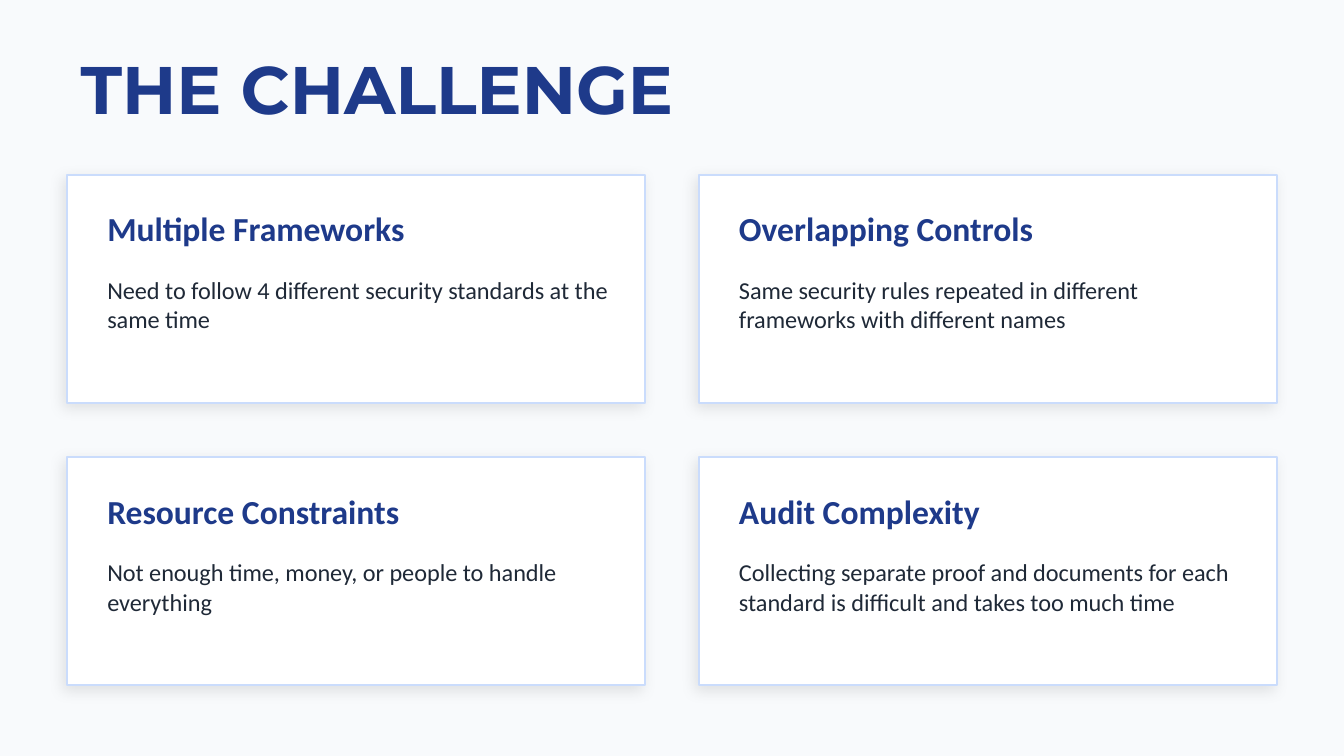
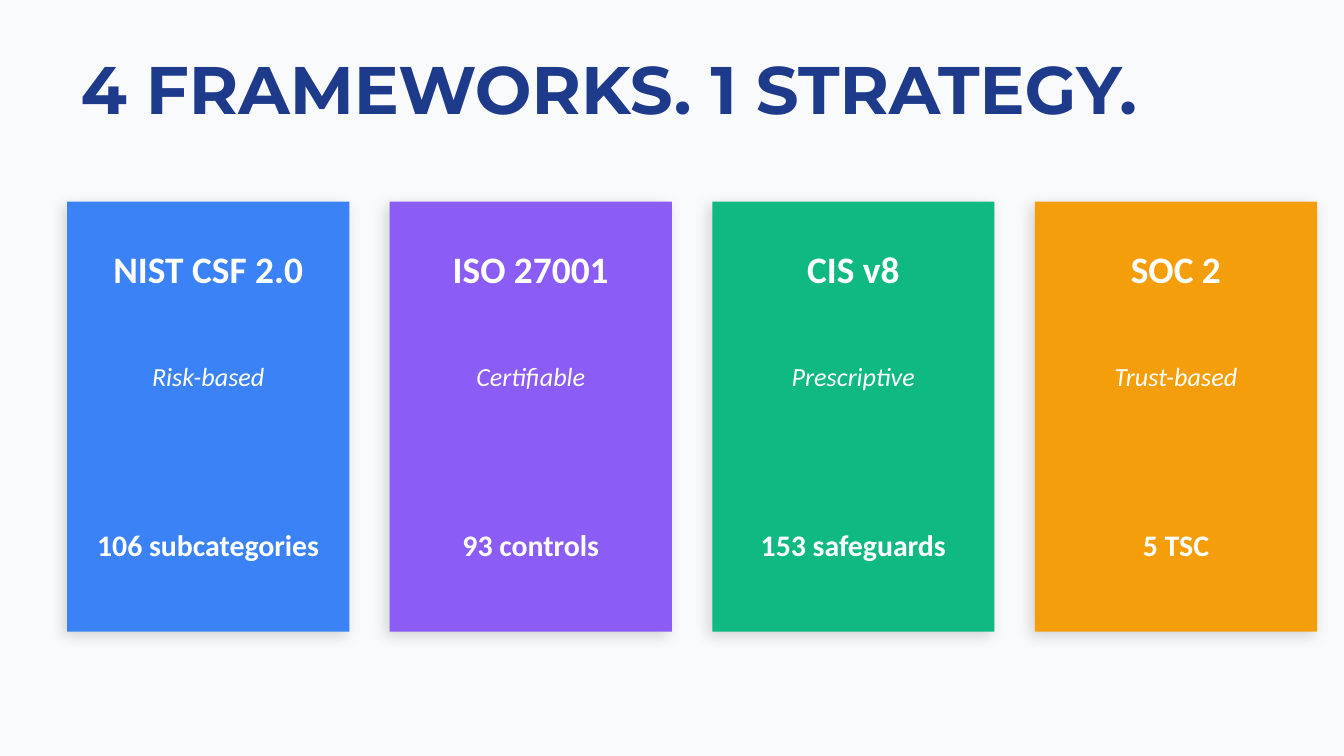
import pptx
import pptx.util
import pptx.dml.color
import pptx.enum.shapes
import pptx.enum.text
import pptx.oxml
import pptx.oxml.ns

Inches = pptx.util.Inches
Pt = pptx.util.Pt
ALIGN = pptx.enum.text.PP_ALIGN
ANCHOR = pptx.enum.text.MSO_ANCHOR

COLORS = {
    "background": "F8FAFC",
    "navy": "1E3A8A",
    "body": "1F2937",
    "white": "FFFFFF",
    "border": "CADCFC",
    "shadow": "000000",
    "blue": "3B82F6",
    "purple": "8B5CF6",
    "green": "10B981",
    "amber": "F59E0B",
}
TITLE_FONT = "Montserrat"
BODY_FONT = "Calibri"
TITLE_ONLY_LAYOUT = 5

CHALLENGES = [
    ("Multiple Frameworks",
     "Need to follow 4 different security standards at the same time"),
    ("Overlapping Controls",
     "Same security rules repeated in different frameworks with different names"),
    ("Resource Constraints",
     "Not enough time, money, or people to handle everything"),
    ("Audit Complexity",
     "Collecting separate proof and documents for each standard is difficult "
     "and takes too much time"),
]
FRAMEWORKS = [
    ("NIST CSF 2.0", "Risk-based", "106 subcategories", "blue"),
    ("ISO 27001", "Certifiable", "93 controls", "purple"),
    ("CIS v8", "Prescriptive", "153 safeguards", "green"),
    ("SOC 2", "Trust-based", "5 TSC", "amber"),
]


def rgb(color):
    return pptx.dml.color.RGBColor.from_string(COLORS[color])


def write(frame, text, size, color, font=BODY_FONT, bold=False, italic=False,
          align=ALIGN.LEFT, anchor=ANCHOR.MIDDLE):
    """Fill a text frame with one formatted paragraph."""
    frame.word_wrap = True
    frame.auto_size = pptx.enum.text.MSO_AUTO_SIZE.NONE
    frame.vertical_anchor = anchor
    frame.text = text
    paragraph = frame.paragraphs[0]
    paragraph.alignment = align
    paragraph.font.name = font
    paragraph.font.size = Pt(size)
    paragraph.font.bold = bold
    paragraph.font.italic = italic
    paragraph.font.color.rgb = rgb(color)


def add_text(slide, left, top, width, height, text, size, color, **style):
    box = slide.shapes.add_textbox(
        Inches(left), Inches(top), Inches(width), Inches(height))
    write(box.text_frame, text, size, color, **style)


def add_shadow(card, opacity):
    """Give a card a soft shadow towards the lower left."""
    card.shadow.inherit = False
    effects = card._element.spPr.find(pptx.oxml.ns.qn("a:effectLst"))
    effects.append(pptx.oxml.parse_xml(
        f'<a:outerShdw {pptx.oxml.ns.nsdecls("a")} blurRad="{Pt(8)}" '
        f'dist="{Pt(3)}" dir="{135 * 60000}" algn="bl" rotWithShape="0">'
        f'<a:srgbClr val="{COLORS["shadow"]}">'
        f'<a:alpha val="{opacity * 1000}"/></a:srgbClr></a:outerShdw>'))


def add_card(slide, left, top, width, height, fill, opacity, border=None):
    card = slide.shapes.add_shape(
        pptx.enum.shapes.MSO_SHAPE.RECTANGLE,
        Inches(left), Inches(top), Inches(width), Inches(height))
    card.fill.solid()
    card.fill.fore_color.rgb = rgb(fill)
    if border:
        card.line.color.rgb = rgb(border)
        card.line.width = Pt(1)
    else:
        card.line.fill.background()
    add_shadow(card, opacity)


def add_titled_slide(deck, text):
    slide = deck.slides.add_slide(deck.slide_layouts[TITLE_ONLY_LAYOUT])
    title = slide.shapes.title
    title.left, title.top = Inches(0.5), Inches(0.4)
    title.width, title.height = Inches(9), Inches(0.5)
    write(title.text_frame, text, 36, "navy", font=TITLE_FONT, bold=True)
    return slide


def add_challenge(slide, left, top, heading, description):
    add_card(slide, left, top, 4.3, 1.7, "white", 10, border="border")
    add_text(slide, left + 0.2, top + 0.2, 4, 0.4, heading, 18, "navy", bold=True)
    add_text(slide, left + 0.2, top + 0.7, 4, 0.9, description, 13, "body",
             anchor=ANCHOR.TOP)


def add_framework(slide, left, framework, approach, scope, color):
    top, width = 1.5, 2.1
    add_card(slide, left, top, width, 3.2, color, 15)
    add_text(slide, left, top + 0.2, width, 0.6, framework, 20, "white",
             bold=True, align=ALIGN.CENTER)
    add_text(slide, left, top + 1.1, width, 0.4, approach, 14, "white",
             italic=True, align=ALIGN.CENTER)
    add_text(slide, left, top + 2.3, width, 0.5, scope, 16, "white",
             bold=True, align=ALIGN.CENTER)


def main():
    deck = pptx.Presentation()
    deck.slide_width, deck.slide_height = Inches(10), Inches(5.625)

    # Shared background
    background = deck.slide_master.background.fill
    background.solid()
    background.fore_color.rgb = rgb("background")

    # Challenges in a two-by-two grid
    challenge_slide = add_titled_slide(deck, "THE CHALLENGE")
    for index, (heading, description) in enumerate(CHALLENGES):
        row, column = divmod(index, 2)
        add_challenge(challenge_slide, 0.5 + 4.7 * column, 1.3 + 2.1 * row,
                      heading, description)

    # Frameworks in a row of columns
    framework_slide = add_titled_slide(deck, "4 FRAMEWORKS. 1 STRATEGY.")
    for index, details in enumerate(FRAMEWORKS):
        add_framework(framework_slide, 0.5 + 2.4 * index, *details)

    deck.save("out.pptx")


if __name__ == "__main__":
    main()
